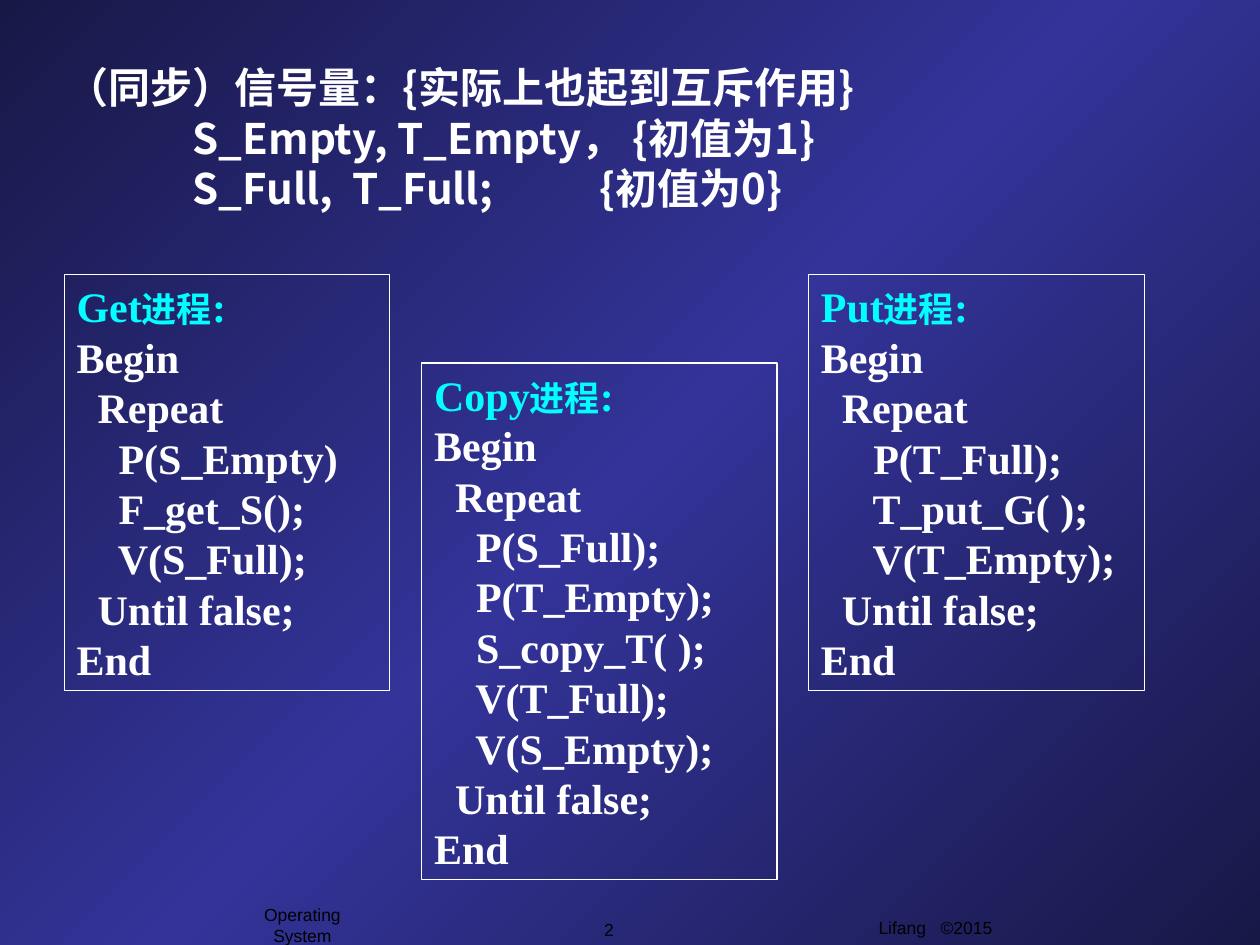
from copy import deepcopy
from pptx import Presentation
from pptx.dml.color import RGBColor as RGB
from pptx.enum.shapes import MSO_SHAPE
from pptx.enum.text import MSO_ANCHOR as ANCHOR, PP_ALIGN as ALIGN
from pptx.oxml import parse_xml
from pptx.oxml.ns import nsdecls
from pptx.util import Pt

# Content
SEMAPHORES = [
    "（同步）信号量：{实际上也起到互斥作用}",
    "\tS_Empty, T_Empty， {初值为1}",
    "\tS_Full,  T_Full;\t{初值为0}",
]
TAB_STOPS = (72, 304.5)
# name, (left, top, width), code
PROCESSES = [
    ("Get", (36.7, 157, 186), [
        "Begin", "  Repeat", "    P(S_Empty)", "    F_get_S();",
        "    V(S_Full);", "  Until false;", "End"]),
    ("Copy", (241, 207.5, 203), [
        "Begin", "  Repeat", "    P(S_Full);", "    P(T_Empty);",
        "    S_copy_T( );", "    V(T_Full);", "    V(S_Empty);",
        "  Until false;", "End"]),
    ("Put", (462, 157, 192), [
        "Begin", "  Repeat", "     P(T_Full);", "     T_put_G( );",
        "     V(T_Empty);", "  Until false;", "End"]),
]
# text, (left, top, width, height), anchor
FOOTERS = [
    ("Lifang   ©2015", (420.5, 520.5, 228, 25), ANCHOR.TOP),
    ("2", (318, 521.3, 60, 19.4), ANCHOR.MIDDLE),
    ("Operating System", (126, 519, 93.6, 19.4), ANCHOR.MIDDLE),
]

CJK, SERIF, SANS = "Noto Sans CJK SC", "Times New Roman", "Arial"
WHITE, CYAN, BLACK = (RGB.from_string(c) for c in ("FFFFFF", "00FFFF", "000000"))
THEME = {
    "title": dict(name=CJK, size=Pt(24), bold=True, color=WHITE),
    "code": dict(name=SERIF, size=Pt(24), bold=True, color=WHITE),
    "head": dict(name=SERIF, size=Pt(24), bold=True, color=CYAN),
    "head_cjk": dict(name=CJK, size=Pt(20), bold=True, color=CYAN),
    "footer": dict(name=SANS, size=Pt(10), bold=False, color=BLACK),
    "gradient": [(0, "181847"), (0.5, "333399"), (1, "181847")],
}
LINE = 28.8
PAD_X, PAD_Y = 7.2, 3.6


def set_background(slide):
    fill = slide.background.fill
    fill.gradient()
    fill.gradient_angle = 315  # counter-clockwise: top left to bottom right
    first = slide.background._cSld.find(".//{*}gs")
    first.addnext(deepcopy(first))
    for stop, (pos, color) in zip(fill.gradient_stops, THEME["gradient"]):
        stop.position = pos
        stop.color.rgb = RGB.from_string(color)


def write(sp, lines, align=ALIGN.LEFT, anchor=ANCHOR.TOP, wrap=True, spacing=None):
    """Fill a shape with lines, each a list of (text, style) runs."""
    tf = sp.text_frame
    frame = dict(word_wrap=wrap, vertical_anchor=anchor, margin_left=Pt(PAD_X),
                 margin_right=Pt(PAD_X), margin_top=Pt(PAD_Y), margin_bottom=Pt(PAD_Y))
    for key, value in frame.items():
        setattr(tf, key, value)
    for i, runs in enumerate(lines):
        p = tf.paragraphs[0] if i == 0 else tf.add_paragraph()
        p.alignment = align
        if spacing:
            p.line_spacing = Pt(spacing)
        for text, style in runs:
            r = p.add_run()
            r.text = text
            for key, value in THEME[style].items():
                if key == "color":
                    r.font.color.rgb = value
                else:
                    setattr(r.font, key, value)
            # East Asian glyphs use the same family
            r.font._element.find("{*}latin").addnext(parse_xml(
                f'<a:ea {nsdecls("a")} typeface="{THEME[style]["name"]}"/>'))
    return tf


def add_tabs(p, stops):
    tabs = "".join(f'<a:tab pos="{Pt(s)}" algn="l"/>' for s in stops)
    p._p.get_or_add_pPr().append(parse_xml(
        f'<a:tabLst {nsdecls("a")}>{tabs}</a:tabLst>'))


prs = Presentation()
prs.slide_width, prs.slide_height = Pt(720), Pt(540)
s = prs.slides.add_slide(prs.slide_layouts[6])
set_background(s)

# Footer
for text, box, anchor in FOOTERS:
    sp = s.shapes.add_textbox(*map(Pt, box))
    write(sp, [[(text, "footer")]], ALIGN.CENTER, anchor, wrap=anchor == ANCHOR.TOP)

# Semaphore declarations
height = len(SEMAPHORES) * LINE + 2 * PAD_Y
sp = s.shapes.add_textbox(Pt(31), Pt(31.7), Pt(564), Pt(height))
tf = write(sp, [[(line, "title")] for line in SEMAPHORES], spacing=LINE)
for p in tf.paragraphs[1:]:
    add_tabs(p, TAB_STOPS)

# Process boxes, each as tall as its code
for name, (left, top, width), code in PROCESSES:
    height = (len(code) + 1) * LINE + 2 * PAD_Y
    sp = s.shapes.add_shape(MSO_SHAPE.RECTANGLE, *map(Pt, (left, top, width, height)))
    sp.shadow.inherit = False
    sp.fill.background()
    sp.line.color.rgb, sp.line.width = WHITE, Pt(0.75)
    heading = [(name, "head"), ("进程", "head_cjk"), (":", "head")]
    write(sp, [heading] + [[(line, "code")] for line in code], spacing=LINE)

prs.save("out.pptx")
